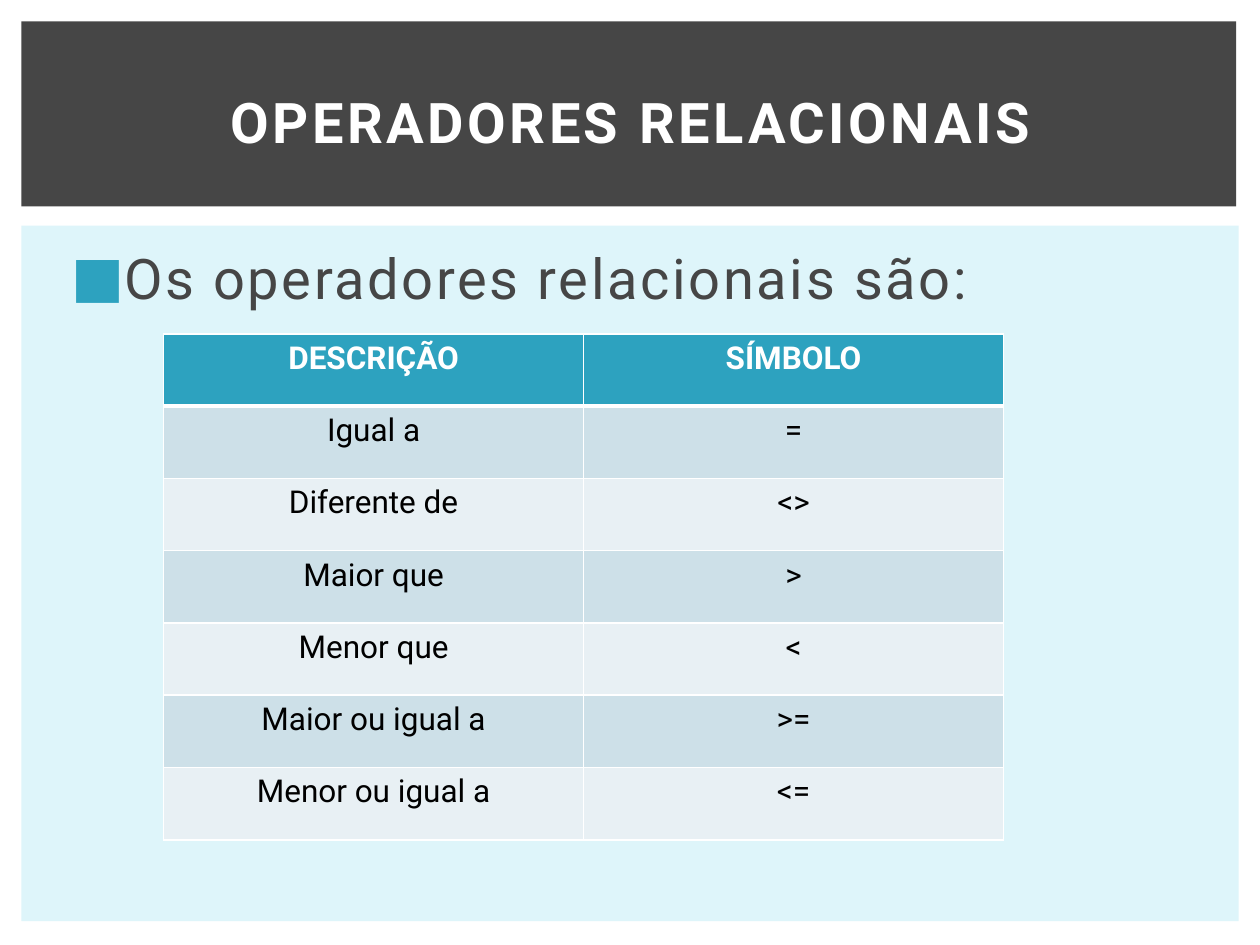
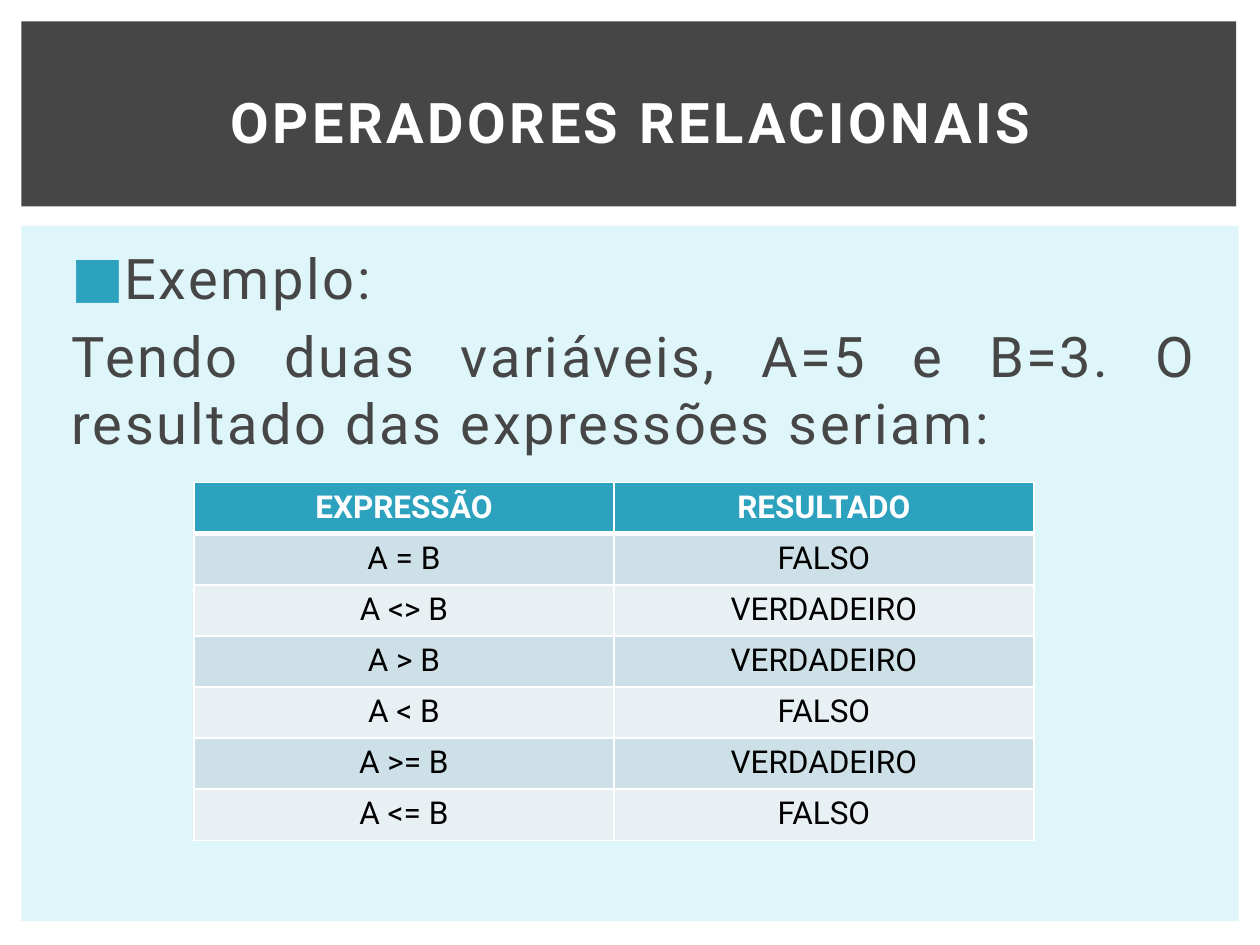
from collections import namedtuple

from lxml.etree import SubElement
from pptx import Presentation
from pptx.dml.color import RGBColor
from pptx.enum.shapes import MSO_SHAPE as Shape
from pptx.enum.text import MSO_ANCHOR as Anchor, MSO_AUTO_SIZE as AutoSize, PP_ALIGN as Align
from pptx.oxml.ns import qn
from pptx.util import Cm, Pt

Box = namedtuple("Box", "left top width height")

FONT = "Roboto"
WHITE, BLACK, CHARCOAL = "FFFFFF", "000000", "464646"
PALE_CYAN, TEAL = "DEF5FA", "2DA2BF"
ROW_FILLS = ("CDE0E8", "E8F0F4")

HEADER_BAND = Box(0.43, 0.43, 24.49, 3.73)
CONTENT_BAND = Box(0.43, 4.55, 24.54, 14.02)
TITLE_BOX = Box(1.07, 0.99, 23.29, 2.92)
INTRO_BOX = Box(1.07, 4.78, 23.34, 12.24)


def rgb(hex_code):
    """Turn a hex string into a colour."""
    return RGBColor.from_string(hex_code)


def lengths(box):
    """Give the four measures of a box in centimetres."""
    return [Cm(measure) for measure in box]


def style_paragraph(paragraph, size, color, align, bold=False, spacing=0):
    """Set the alignment, font and letter spacing of a paragraph."""
    paragraph.alignment = align
    font = paragraph.font
    font.name, font.size, font.bold = FONT, Pt(size), bold
    font.color.rgb = rgb(color)
    if spacing:
        font._rPr.set("spc", str(round(spacing * 100)))


def add_band(slide, box, color):
    """Draw a flat band behind the title."""
    band = slide.shapes.add_shape(Shape.RECTANGLE, *lengths(box))
    band.shadow.inherit = False
    band.fill.solid()
    band.fill.fore_color.rgb = rgb(color)
    band.line.fill.background()
    slide.shapes.title._element.addprevious(band._element)


def add_title(slide, box, text):
    """Place and format the title placeholder."""
    title = slide.shapes.title
    title.left, title.top, title.width, title.height = lengths(box)
    frame = title.text_frame
    frame.text = text
    frame.auto_size = AutoSize.NONE
    frame.vertical_anchor = Anchor.MIDDLE
    style_paragraph(frame.paragraphs[0], 32, WHITE, Align.CENTER, bold=True, spacing=2)


def set_indent(paragraph, margin, first_line):
    """Set the left margin and first-line indent of a paragraph."""
    properties = paragraph._p.get_or_add_pPr()
    properties.set("marL", str(Cm(margin)))
    properties.set("indent", str(Cm(first_line)))


def add_bullet(paragraph):
    """Give a paragraph a teal square bullet."""
    properties = paragraph._p.get_or_add_pPr()
    bullet_color = SubElement(properties, qn("a:buClr"))
    SubElement(bullet_color, qn("a:srgbClr"), val=TEAL)
    SubElement(properties, qn("a:buFont"), typeface=FONT)
    SubElement(properties, qn("a:buChar"), char="■")


def add_intro(slide, box, lines):
    """Write the introduction, with a bullet on its first line."""
    frame = slide.shapes.add_textbox(*lengths(box)).text_frame
    frame.word_wrap = True
    frame.text = "\n".join(lines)
    for index, paragraph in enumerate(frame.paragraphs):
        paragraph.space_before = Pt(6.4)
        if index == 0:
            set_indent(paragraph, 0.76, -0.64)
            add_bullet(paragraph)
        else:
            set_indent(paragraph, 0.13, 0)
        style_paragraph(paragraph, 32, CHARCOAL, Align.JUSTIFY, spacing=1.5)


def add_borders(cell, top, bottom):
    """Draw white borders around a cell, with widths in points."""
    properties = cell._tc.get_or_add_tcPr()
    for side, width in (("L", 1), ("R", 1), ("T", top), ("B", bottom)):
        line = SubElement(properties, qn(f"a:ln{side}"), w=str(Pt(width)))
        fill = SubElement(line, qn("a:solidFill"))
        SubElement(fill, qn("a:srgbClr"), val=WHITE)


def add_operator_table(slide, box, rows):
    """Fill a table of equal rows and columns under a teal heading row."""
    table = slide.shapes.add_table(len(rows), len(rows[0]), *lengths(box)).table
    for column in table.columns:
        column.width = Cm(box.width / len(rows[0]))
    for row_index, texts in enumerate(rows):
        heading = row_index == 0
        table.rows[row_index].height = Cm(box.height / len(rows))
        for column_index, text in enumerate(texts):
            cell = table.cell(row_index, column_index)
            add_borders(cell, 3 if row_index == 1 else 1, 3 if heading else 1)
            cell.fill.solid()
            cell.fill.fore_color.rgb = rgb(TEAL if heading else ROW_FILLS[(row_index - 1) % 2])
            cell.text = text
            style_paragraph(cell.text_frame.paragraphs[0], 18,
                            WHITE if heading else BLACK, Align.CENTER, bold=heading)


def add_operator_slide(deck, intro, table_box, rows):
    """Build a slide with bands, title, introduction and table."""
    slide = deck.slides.add_slide(deck.slide_layouts[5])
    add_band(slide, CONTENT_BAND, PALE_CYAN)
    add_band(slide, HEADER_BAND, CHARCOAL)
    add_title(slide, TITLE_BOX, "OPERADORES RELACIONAIS")
    add_intro(slide, INTRO_BOX, intro)
    add_operator_table(slide, table_box, rows)


def main():
    """Build and save the presentation."""
    deck = Presentation()
    deck.slide_width, deck.slide_height = Cm(25.4), Cm(19.05)
    add_operator_slide(
        deck,
        ["Os operadores relacionais são:"],
        Box(3.3, 6.73, 16.93, 10.2),
        [
            ("DESCRIÇÃO", "SÍMBOLO"),
            ("Igual a", "="),
            ("Diferente de", "<>"),
            ("Maior que", ">"),
            ("Menor que", "<"),
            ("Maior ou igual a", ">="),
            ("Menor ou igual a", "<="),
        ],
    )
    add_operator_slide(
        deck,
        ["Exemplo:", "Tendo duas variáveis, A=5 e B=3. O resultado das expressões seriam:"],
        Box(3.91, 9.73, 16.93, 7.21),
        [
            ("EXPRESSÃO", "RESULTADO"),
            ("A = B", "FALSO"),
            ("A <> B", "VERDADEIRO"),
            ("A > B", "VERDADEIRO"),
            ("A < B", "FALSO"),
            ("A >= B", "VERDADEIRO"),
            ("A <= B", "FALSO"),
        ],
    )
    deck.save("out.pptx")


if __name__ == "__main__":
    main()
